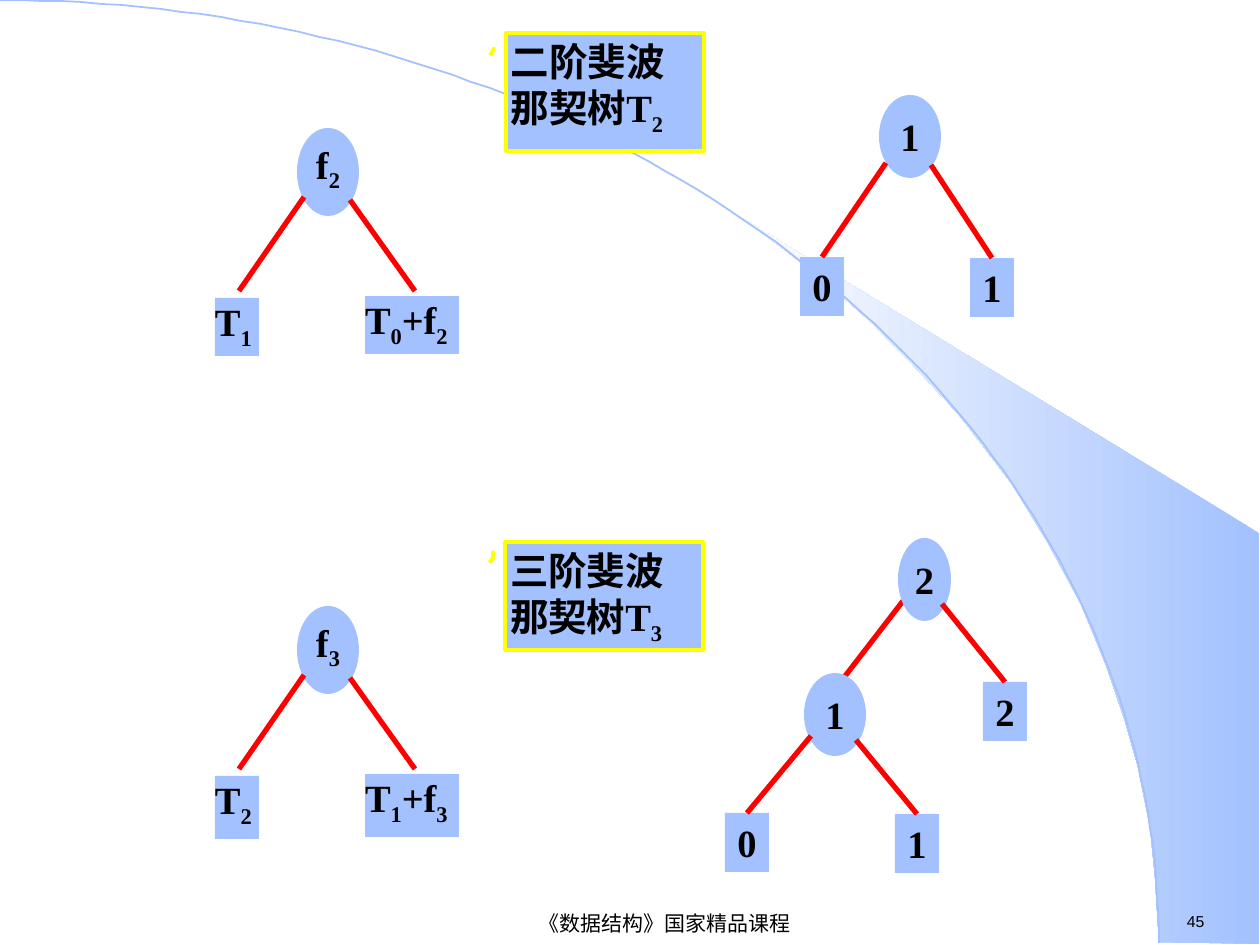
"""Build the slide on Fibonacci trees of order two and three."""
from math import cos, pi, sin

from lxml.etree import SubElement
from pptx import Presentation
from pptx.dml.color import RGBColor
from pptx.enum.shapes import MSO_CONNECTOR, MSO_SHAPE
from pptx.enum.text import MSO_ANCHOR, PP_ALIGN
from pptx.oxml.ns import qn
from pptx.util import Pt

SCALE = 914400 / 126
BLUE, RED, YELLOW, BLACK, WHITE = "A2C1FE", "FF0000", "FFFF00", "000000", "FEFEFE"
SERIF, SANS = "Times New Roman", "Arial"
WEDGE = [(1159, 942), (1259, 944), (1259, 533), (742, 218), (786, 251),
         (823, 280), (863, 315), (902, 353), (960, 416), (1012, 484),
         (1048, 543), (1081, 604), (1106, 665), (1125, 721), (1138, 767),
         (1150, 827), (1155, 877)]


def px(num):
    """Turn pixels into EMU."""
    return round(num * SCALE)


def color(code):
    """Turn a hex string into a colour."""
    return RGBColor.from_string(code)


def write(shape, parts, align=PP_ALIGN.LEFT, anchor=MSO_ANCHOR.TOP,
          pad=(0, 0, 0, 0), size=22, face=SERIF, bold=True):
    """Fill a shape with text whose every second part is a subscript."""
    frame = shape.text_frame
    frame.word_wrap = True
    frame.vertical_anchor = anchor
    (frame.margin_left, frame.margin_top,
     frame.margin_right, frame.margin_bottom) = map(px, pad)
    para = frame.paragraphs[0]
    para.alignment = align
    for pos, part in enumerate(parts):
        run = para.add_run()
        run.text = part
        font = run.font
        font.size, font.name, font.bold = Pt(size), face, bold
        font.color.rgb = color(BLACK)
        if pos % 2:
            run._r.get_or_add_rPr().set("baseline", "-25000")


def block(slide, kind, box, parts, **style):
    """Add a blue shape with text."""
    shape = slide.shapes.add_shape(kind, *map(px, box))
    shape.shadow.inherit = False
    shape.fill.solid()
    shape.fill.fore_color.rgb = color(BLUE)
    shape.line.fill.background()
    write(shape, parts, **style)
    return shape


def node(slide, box, parts, pad=(0, 0, 0, 0)):
    """Add an inner node of a tree."""
    return block(slide, MSO_SHAPE.OVAL, box, parts, pad=pad,
                 align=PP_ALIGN.CENTER, anchor=MSO_ANCHOR.MIDDLE)


def edge(slide, start, end):
    """Add a red edge between two points."""
    line = slide.shapes.add_connector(
        MSO_CONNECTOR.STRAIGHT, *map(px, start + end))
    line.line.color.rgb = color(RED)
    line.line.width = Pt(3)
    SubElement(line._element.spPr, qn("a:effectLst"))
    return line


def leaf(slide, left, top, text, start):
    """Add a leaf with the edge that leads to it."""
    shape = block(slide, MSO_SHAPE.RECTANGLE, (left, top, 44, 59), [text],
                  align=PP_ALIGN.CENTER, anchor=MSO_ANCHOR.MIDDLE)
    edge(slide, start, (left + 22, top)).end_connect(shape, 0)


def rule(slide, order, top, high, pad):
    """Add the tree that shows how an order is made from lower ones."""
    node(slide, (297, top, 62, 88), ["f", str(order)], (0, 0, 0, 10))
    edge(slide, (304, top + 69), (239, top + 163))
    edge(slide, (350, top + 72), (415, top + 163))
    left = ["T", str(order - 1)]
    right = ["T", str(order - 2), "+f", str(order)]
    for box, parts in (((215, top + 170, 44, high), left),
                       ((365, top + 168, 94, high), right)):
        block(slide, MSO_SHAPE.RECTANGLE, box, parts, pad=(0, 0, 0, pad))


def label(slide, box, parts, bends):
    """Add a callout that names a tree."""
    shape = block(slide, MSO_SHAPE.LINE_CALLOUT_2, box, parts, pad=(5, 5, 5, 5))
    shape.line.color.rgb = color(YELLOW)
    shape.line.width = Pt(2.25)
    for pos, bend in enumerate(bends):
        shape.adjustments[pos] = bend


def outline(slide, points, close):
    """Add a free outline through points."""
    pen = slide.shapes.build_freeform(*points[0], scale=SCALE)
    pen.add_line_segments(points[1:], close=close)
    shape = pen.convert_to_shape()
    shape.shadow.inherit = False
    return shape


def backdrop(slide):
    """Add the shaded wedge and the long arc."""
    wedge = outline(slide, WEDGE, True)
    wedge.line.fill.background()
    wedge.fill.gradient()
    wedge.fill.gradient_angle = 180
    for stop, code in zip(wedge.fill.gradient_stops, (BLUE, WHITE)):
        stop.color.rgb = color(code)
    turns = [step * pi / 180 for step in range(91)]
    arc = outline(slide, [(round(1159 * sin(turn)), round(943 * (1 - cos(turn))))
                          for turn in turns], False)
    arc.fill.background()
    arc.line.color.rgb = color(BLUE)
    arc.line.width = Pt(1)


def note(slide, box, text, size, **style):
    """Add a small line of text at the foot."""
    shape = slide.shapes.add_textbox(*map(px, box))
    write(shape, [text], size=size, face=SANS, bold=False,
          pad=(13, 6, 13, 6), **style)


def main():
    """Build and save the slide."""
    deck = Presentation()
    deck.slide_width, deck.slide_height = px(1260), px(945)
    slide = deck.slides.add_slide(deck.slide_layouts[6])
    backdrop(slide)
    note(slide, (1174, 906, 80, 32), "45", 9)
    note(slide, (302, 908, 725, 30), "《数据结构》国家精品课程", 12,
         align=PP_ALIGN.CENTER, anchor=MSO_ANCHOR.MIDDLE)

    rule(slide, 2, 128, 58, 5)
    node(slide, (879, 95, 62, 83), ["1"])
    leaf(slide, 800, 257, "0", (886, 163))
    leaf(slide, 970, 258, "1", (931, 165))

    rule(slide, 3, 606, 63, 10)
    edge(slide, (903, 601), (839, 684))
    node(slide, (898, 538, 53, 83), ["2"])
    node(slide, (804, 673, 62, 83), ["1"])
    leaf(slide, 725, 813, "0", (811, 736))
    leaf(slide, 895, 814, "1", (856, 740))
    leaf(slide, 983, 682, "2", (942, 604))

    label(slide, (506, 33, 198, 118), ["二阶斐波那契树T", "2"],
          (0.19, -0.08, 0.13, -0.06, 0.16, -0.07))
    label(slide, (505, 542, 198, 108), ["三阶斐波那契树T", "3"],
          (0.19, -0.08, 0.15, -0.06, 0.08, -0.06))
    deck.save("out.pptx")


if __name__ == "__main__":
    main()
